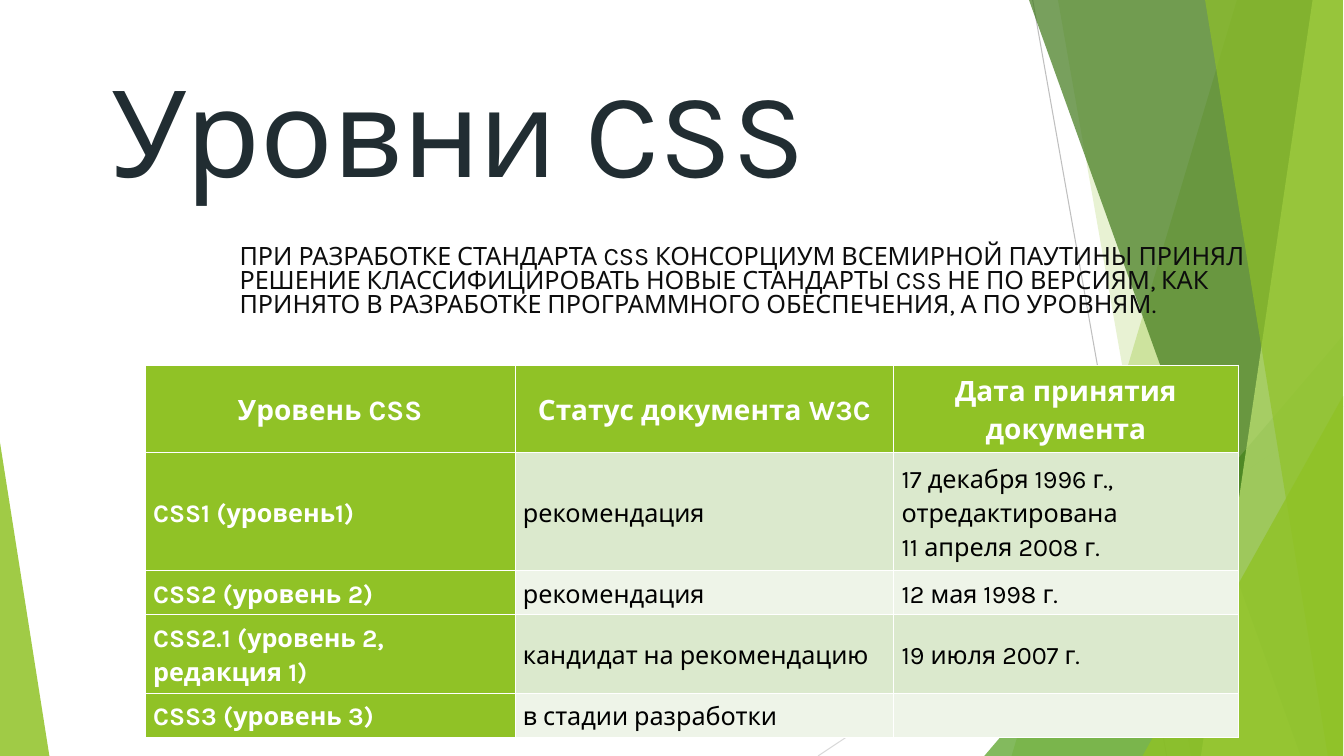
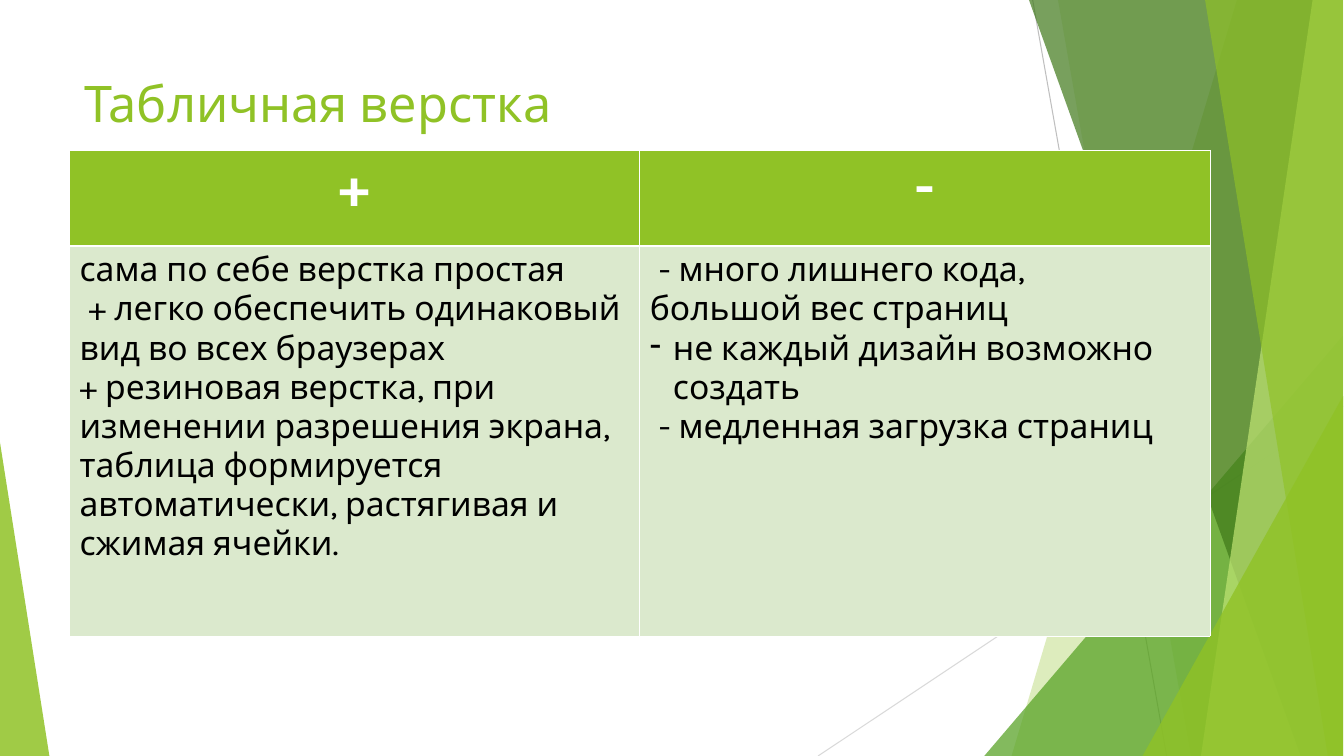
from lxml.etree import SubElement
from pptx import Presentation
from pptx.dml.color import RGBColor
from pptx.enum.shapes import MSO_CONNECTOR, MSO_SHAPE
from pptx.enum.text import MSO_ANCHOR as Anchor, MSO_AUTO_SIZE as AutoSize, PP_ALIGN as Align
from pptx.oxml import parse_xml
from pptx.oxml.ns import nsdecls, qn
from pptx.util import Pt

PX = 9144
WIDTH, HEIGHT = 1334, 750
FONT = "Karla"

WHITE = RGBColor(0xFF, 0xFF, 0xFF)
BLACK = RGBColor(0x00, 0x00, 0x00)
NEAR_BLACK = RGBColor(0x0D, 0x0D, 0x0D)
SLATE = RGBColor(0x21, 0x2D, 0x32)
GREEN = RGBColor(0x90, 0xC2, 0x26)
MID_GREEN = RGBColor(0x54, 0xA0, 0x21)
DARK_GREEN = RGBColor(0x3F, 0x78, 0x19)
LIME = RGBColor(0xC0, 0xE4, 0x74)
BAND_DARK = RGBColor(0xDB, 0xE9, 0xCD)
BAND_LIGHT = RGBColor(0xEE, 0xF4, 0xE8)
GRAY = RGBColor(0xBF, 0xBF, 0xBF)
LIGHT_GRAY = RGBColor(0xD9, 0xD9, 0xD9)

THIN, THICK = 0.45, 1.47

RAYS = [
    ((1025, 0, 1158, 750), GRAY),
    ((1333, 403, 812, 750), LIGHT_GRAY),
]
FACETS = [
    ("band", (1228, 1004), GREEN, 30),
    ("band", (1050, 1182), GREEN, 20),
    ("triangle", (977, 333, 356, 417, 1), MID_GREEN, 72),
    ("band", (1021, 1291), DARK_GREEN, 70),
    ("band", (1303, 1192), LIME, 70),
    ("band", (1196, 1318), GREEN, 65),
    ("triangle", (1134, 393, 199, 357, 1), GREEN, 80),
    ("triangle", (0, 439, 49, 311, 0), GREEN, 85),
]

LEVELS_TITLE = dict(text="Уровни CSS", box=(101, 52, 1063, 164), size=86, color=SLATE)
LEVELS_INTRO = (
    "ПРИ РАЗРАБОТКЕ СТАНДАРТА CSS КОНСОРЦИУМ ВСЕМИРНОЙ ПАУТИНЫ ПРИНЯЛ РЕШЕНИЕ "
    "КЛАССИФИЦИРОВАТЬ НОВЫЕ СТАНДАРТЫ CSS НЕ ПО ВЕРСИЯМ, КАК ПРИНЯТО В РАЗРАБОТКЕ "
    "ПРОГРАММНОГО ОБЕСПЕЧЕНИЯ, А ПО УРОВНЯМ."
)
LEVELS_INTRO_BOX = (228, 198, 1063, 164)
LEVELS_TABLE = dict(
    corner=(144, 362),
    widths=[367, 376, 342],
    heights=[87, 117, 42, 78, 42],
    rows=[
        [["Уровень CSS"], ["Статус документа W3C"], ["Дата принятия документа"]],
        [["CSS1 (уровень1)"], ["рекомендация"],
         ["17 декабря 1996 г., отредактирована", "11 апреля 2008 г."]],
        [["CSS2 (уровень 2)"], ["рекомендация"], ["12 мая 1998 г."]],
        [["CSS2.1 (уровень 2, редакция 1)"], ["кандидат на рекомендацию"], ["19 июля 2007 г."]],
        [["CSS3 (уровень 3)"], ["в стадии разработки"], []],
    ],
    header_size=20, body_size=18, spacing=1.15,
    anchor=Anchor.MIDDLE, side_margin=8, header_column=True,
)

LAYOUT_TITLE = dict(text="Табличная верстка", box=(74, 67, 940, 144), size=36, color=GREEN)
LAYOUT_TABLE = dict(
    corner=(69, 149),
    widths=[566, 566],
    heights=[95, 387],
    rows=[
        [["+"], ["-"]],
        [
            [
                "сама по себе верстка простая",
                ("+ легко обеспечить одинаковый вид во всех браузерах", dict(indent=9)),
                "+ резиновая верстка, при изменении разрешения экрана, таблица формируется "
                "автоматически, растягивая и сжимая ячейки.",
            ],
            [
                ("- много лишнего кода,", dict(indent=9)),
                "большой вес страниц",
                ("не каждый дизайн возможно создать", dict(margin=23, indent=-23, bullet="-")),
                ("- медленная загрузка страниц", dict(indent=9)),
            ],
        ],
    ],
    header_size=40, body_size=24, spacing=1,
    anchor=Anchor.TOP, side_margin=10, header_column=False,
)


def px(*values):
    return [value * PX for value in values]


def write(paragraph, text, size, color, bold=False, align=Align.LEFT, spacing=1,
          margin=0, indent=0, bullet=None):
    properties = paragraph._p.get_or_add_pPr()
    properties.set("marL", str(margin * PX))
    properties.set("indent", str(indent * PX))
    paragraph.alignment = align
    paragraph.line_spacing = spacing
    if bullet:
        SubElement(properties, qn("a:buChar")).set("char", bullet)
    run = paragraph.add_run()
    run.text = text
    run.font.name = FONT
    run.font.size = Pt(size)
    run.font.bold = bold
    run.font.color.rgb = color


def add_ray(group, ends, color):
    ray = group.shapes.add_connector(MSO_CONNECTOR.STRAIGHT, *px(*ends))
    ray.line.color.rgb = color
    ray.line.width = Pt(0.75)
    SubElement(ray.element.spPr, qn("a:effectLst"))


def add_facet(group, kind, geometry, color, opacity):
    if kind == "band":
        top, bottom = geometry
        builder = group.shapes.build_freeform(top, -1, scale=PX)
        builder.add_line_segments([(1333, -1), (1333, HEIGHT), (bottom, HEIGHT)], close=True)
        facet = builder.convert_to_shape()
    else:
        *box, apex = geometry
        facet = group.shapes.add_shape(MSO_SHAPE.ISOSCELES_TRIANGLE, *px(*box))
        facet.adjustments[0] = apex
    facet.shadow.inherit = False
    facet.fill.solid()
    facet.fill.fore_color.rgb = color
    facet.line.fill.background()
    fill_color = facet.element.spPr.find(qn("a:solidFill")).find(qn("a:srgbClr"))
    SubElement(fill_color, qn("a:alpha")).set("val", str(opacity * 1000))


def decorate(layout, slide):
    group = slide.shapes.add_group_shape()
    for ends, color in RAYS:
        add_ray(group, ends, color)
    for facet in FACETS:
        add_facet(group, *facet)
    layout.shapes.element.append(group.element)


def add_title(slide, text, box, size, color):
    title = slide.shapes.title
    title.left, title.top, title.width, title.height = px(*box)
    frame = title.text_frame
    frame.word_wrap = True
    frame.auto_size = AutoSize.NONE
    frame.vertical_anchor = Anchor.TOP
    write(frame.paragraphs[0], text, size=size, color=color)


def add_intro(slide, text, box):
    frame = slide.shapes.add_textbox(*px(*box)).text_frame
    frame.word_wrap = True
    frame.vertical_anchor = Anchor.MIDDLE
    write(frame.paragraphs[0], text, size=18, color=NEAR_BLACK, spacing=0.8)


def set_borders(cell, top, bottom):
    properties = cell._tc.get_or_add_tcPr()
    widths = dict(lnL=THIN, lnR=THIN, lnT=top, lnB=bottom)
    for position, (side, width) in enumerate(widths.items()):
        properties.insert(position, parse_xml(
            f'<a:{side} {nsdecls("a")} w="{Pt(width)}"><a:solidFill>'
            f'<a:srgbClr val="{WHITE}"/></a:solidFill></a:{side}>'))


def add_table(slide, corner, widths, heights, rows, header_size, body_size, spacing,
              anchor, side_margin, header_column):
    table = slide.shapes.add_table(
        len(rows), len(widths), *px(*corner, sum(widths), sum(heights))).table
    table.first_row = table.horz_banding = False
    for column, width in zip(table.columns, widths):
        column.width = width * PX
    for row, height in zip(table.rows, heights):
        row.height = height * PX
    for row_index, row in enumerate(rows):
        is_header = row_index == 0
        for column_index, paragraphs in enumerate(row):
            strong = is_header or (header_column and column_index == 0)
            band = BAND_DARK if row_index % 2 else BAND_LIGHT
            cell = table.cell(row_index, column_index)
            cell.fill.solid()
            cell.fill.fore_color.rgb = GREEN if strong else band
            set_borders(cell, THICK if row_index == 1 else THIN, THICK if is_header else THIN)
            cell.vertical_anchor = anchor
            cell.margin_left = cell.margin_right = side_margin * PX
            cell.margin_top = cell.margin_bottom = 5 * PX
            frame = cell.text_frame
            for index, item in enumerate(paragraphs):
                text, extra = (item, {}) if isinstance(item, str) else item
                paragraph = frame.add_paragraph() if index else frame.paragraphs[0]
                write(paragraph, text, size=header_size if is_header else body_size,
                      color=WHITE if strong else BLACK, bold=strong, spacing=spacing,
                      align=Align.CENTER if is_header else Align.LEFT, **extra)


def main():
    presentation = Presentation()
    presentation.slide_width, presentation.slide_height = px(WIDTH, HEIGHT)
    layout = presentation.slide_layouts[5]

    levels = presentation.slides.add_slide(layout)
    decorate(layout, levels)
    add_title(levels, **LEVELS_TITLE)
    add_table(levels, **LEVELS_TABLE)
    add_intro(levels, LEVELS_INTRO, LEVELS_INTRO_BOX)

    table_layout = presentation.slides.add_slide(layout)
    add_title(table_layout, **LAYOUT_TITLE)
    add_table(table_layout, **LAYOUT_TABLE)

    presentation.save("out.pptx")


if __name__ == "__main__":
    main()
